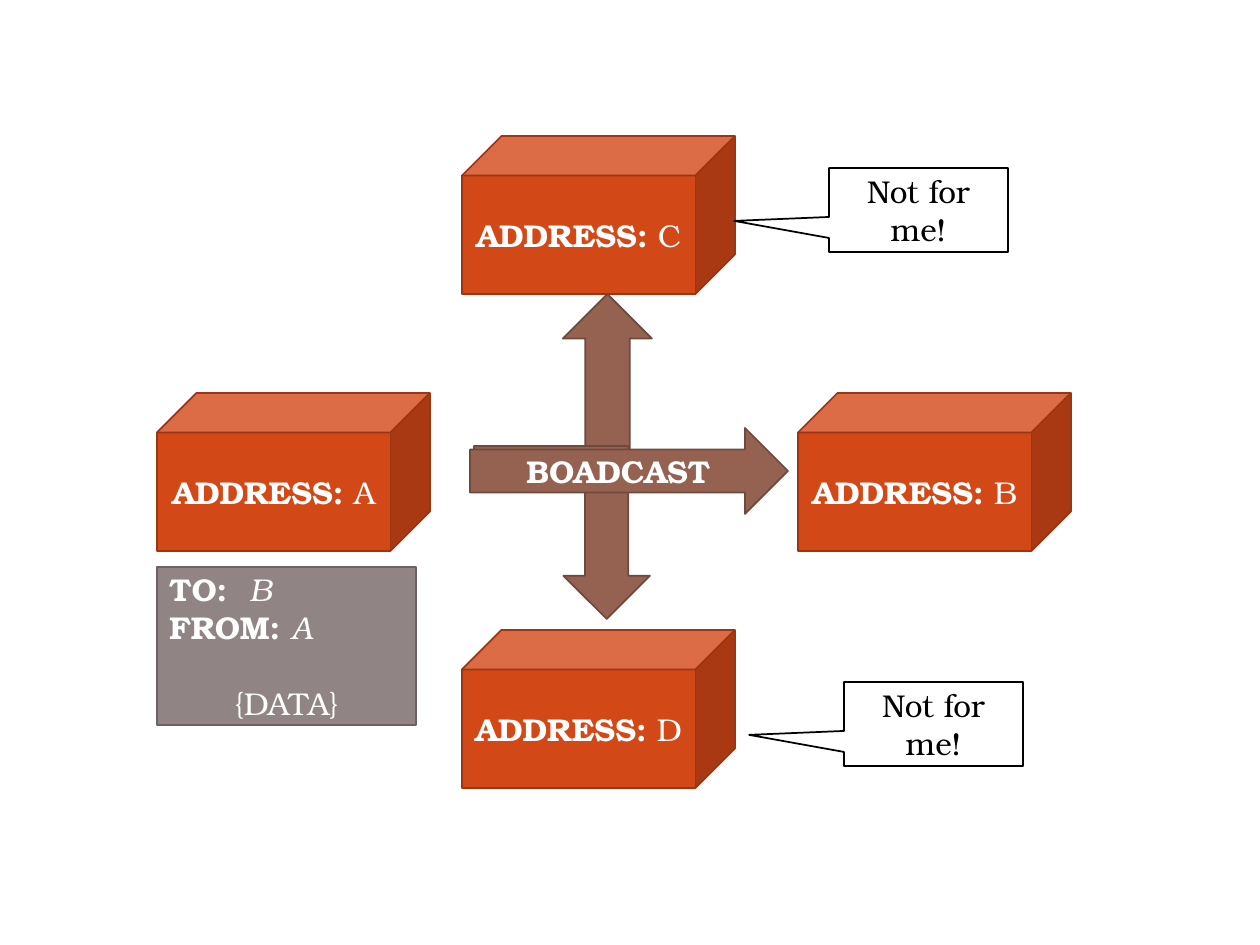
import pptx
import pptx.util
import pptx.dml.color
import pptx.enum.shapes
import pptx.enum.text
import pptx.oxml

RGBColor = pptx.dml.color.RGBColor
SHAPE = pptx.enum.shapes.MSO_SHAPE
ALIGN = pptx.enum.text.PP_ALIGN

EMU_PER_PX = 914400 / 126
FONT = "TeX Gyre Bonum"
WHITE = RGBColor(0xFF, 0xFF, 0xFF)
BLACK = RGBColor(0x00, 0x00, 0x00)
ORANGE = RGBColor(0xD3, 0x48, 0x17)
ORANGE_EDGE = RGBColor(0x9C, 0x35, 0x11)
BROWN = RGBColor(0x95, 0x62, 0x51)
BROWN_EDGE = RGBColor(0x6E, 0x49, 0x3C)
GREY = RGBColor(0x91, 0x84, 0x85)
GREY_EDGE = RGBColor(0x6B, 0x62, 0x62)

NODE_SIZE = (273, 158)
CALLOUT_SIZE = (179, 84)


def px(length):
    return pptx.util.Emu(round(length * EMU_PER_PX))


def add_block(page, kind, box, fill, edge):
    shape = page.shapes.add_shape(kind, *map(px, box))
    shape.shadow.inherit = False
    shape.fill.solid()
    shape.fill.fore_color.rgb = fill
    shape.line.color.rgb = edge
    shape.line.width = pptx.util.Pt(1)
    shape.text_frame.word_wrap = True
    shape.text_frame.vertical_anchor = pptx.enum.text.MSO_ANCHOR.MIDDLE
    return shape


def write_spans(para, spans, align=ALIGN.CENTER, color=WHITE):
    para.alignment = align
    for text, bold, italic in spans:
        span = para.add_run()
        span.text = text
        span.font.name = FONT
        span.font.size = pptx.util.Pt(18)
        span.font.bold = bold
        span.font.italic = italic
        span.font.color.rgb = color


def add_node(page, box, name):
    cube = add_block(page, SHAPE.CUBE, box, ORANGE, ORANGE_EDGE)
    write_spans(cube.text_frame.paragraphs[0],
                [("ADDRESS:", True, False), (f" {name}", False, False)])


def add_broadcast(page, box):
    left, top, width, height = box
    up_box = (left + 4, top, 178, 197)
    down_box = (left + 4, top + height - 173, 176, 173)
    right_box = (left, top + 134, width, 86)

    add_block(page, SHAPE.BENT_UP_ARROW, up_box, BROWN, BROWN_EDGE)
    down = add_block(page, SHAPE.BENT_UP_ARROW, down_box, BROWN, BROWN_EDGE)
    down.element.spPr.xfrm.set("flipV", "1")
    right = add_block(page, SHAPE.RIGHT_ARROW, right_box, BROWN, BROWN_EDGE)
    write_spans(right.text_frame.paragraphs[0], [("BOADCAST", True, False)])


def add_tab_stop(para, position):
    properties = para._p.get_or_add_pPr()
    stops = pptx.oxml.parse_xml(
        '<a:tabLst xmlns:a="http://schemas.openxmlformats.org/drawingml/2006/main">'
        f'<a:tab pos="{px(position)}" algn="l"/></a:tabLst>')
    properties.append(stops)


def add_packet(page, box):
    packet = add_block(page, SHAPE.RECTANGLE, box, GREY, GREY_EDGE)
    frame = packet.text_frame
    recipient = frame.paragraphs[0]
    add_tab_stop(recipient, 80)
    write_spans(recipient, [("TO:\t", True, False), ("B", False, True)], ALIGN.LEFT)
    write_spans(frame.add_paragraph(),
                [("FROM: ", True, False), ("A", False, True)], ALIGN.LEFT)
    data = frame.add_paragraph()
    data.space_before = pptx.util.Pt(21.6)
    write_spans(data, [("{DATA}", False, False)])


def add_callout(page, box):
    callout = add_block(page, SHAPE.RECTANGULAR_CALLOUT, box, WHITE, BLACK)
    callout.adjustments[0] = -1.03
    callout.adjustments[1] = 0.13
    write_spans(callout.text_frame.paragraphs[0],
                [("Not for me!", False, False)], color=BLACK)


def main():
    deck = pptx.Presentation()
    deck.slide_width = px(1260)
    deck.slide_height = px(945)
    page = deck.slides.add_slide(deck.slide_layouts[6])

    nodes = {"A": (157, 393), "B": (798, 393), "D": (462, 630), "C": (462, 136)}
    for name, corner in nodes.items():
        add_node(page, corner + NODE_SIZE, name)
    add_broadcast(page, (470, 294, 318, 325))
    add_packet(page, (157, 567, 259, 158))
    for corner in [(829, 168), (844, 682)]:
        add_callout(page, corner + CALLOUT_SIZE)

    deck.save("out.pptx")


if __name__ == "__main__":
    main()
